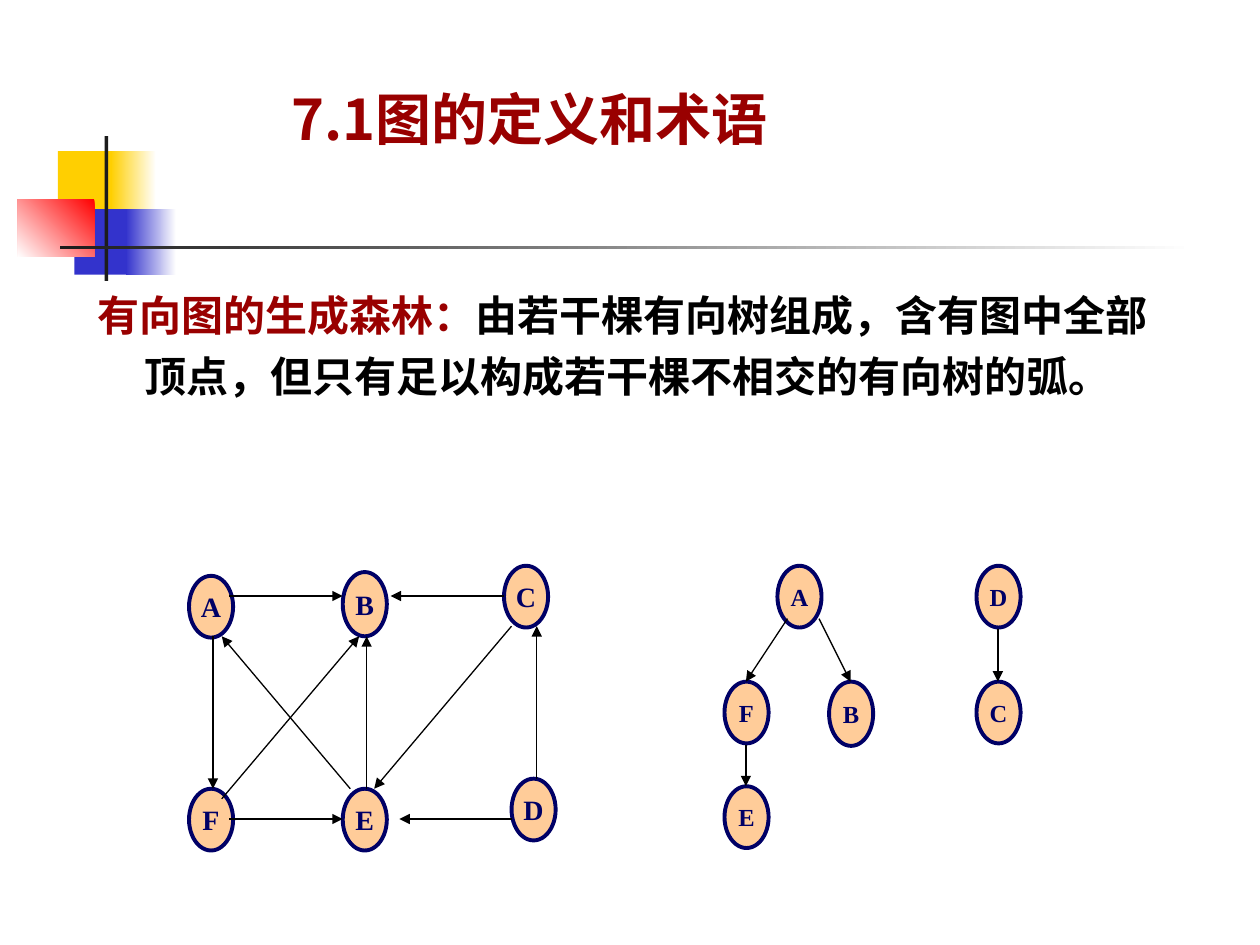
import pptx
import pptx.dml.color
import pptx.enum.dml
import pptx.enum.shapes
import pptx.enum.text
import pptx.oxml
import pptx.oxml.ns
import pptx.util
from pptx.util import Inches

TITLE = "7.1图的定义和术语"
DEFINITION = [
    ("有向图的生成森林：", "accent"),
    ("由若干棵有向树组成，含有图中全部顶点，但只有足以构成若干棵不相交的有向树的弧。", "text"),
]

# Vertices: label, left, top, height. Arcs: start point, arrow point.
DIRECTED_GRAPH = {
    "size": "graph",
    "vertices": [
        ("B", 2.72, 4.54, 0.51), ("A", 1.5, 4.57, 0.49), ("C", 4, 4.49, 0.49),
        ("D", 4.06, 6.18, 0.49), ("F", 1.5, 6.26, 0.49), ("E", 2.72, 6.26, 0.49),
    ],
    "arcs": [
        ((1.82, 4.73), (2.72, 4.73)),
        ((1.69, 5.05), (1.69, 6.26)),
        ((4, 4.73), (3.1, 4.73)),
        ((1.82, 6.5), (2.72, 6.5)),
        ((4.06, 6.5), (3.17, 6.5)),
        ((1.76, 6.34), (2.85, 5.05)),
        ((4.06, 4.97), (2.97, 6.26)),
        ((4.26, 6.18), (4.26, 4.97)),
        ((2.78, 6.26), (1.76, 5.05)),
        ((2.91, 6.26), (2.91, 5.05)),
    ],
}
SPANNING_FOREST = {
    "size": "forest",
    "vertices": [
        ("B", 6.58, 5.41, 0.51), ("A", 6.17, 4.49, 0.49), ("C", 7.75, 5.41, 0.49),
        ("D", 7.75, 4.49, 0.49), ("F", 5.75, 5.41, 0.49), ("E", 5.75, 6.24, 0.49),
    ],
    "arcs": [
        ((6.25, 4.91), (5.92, 5.41)),
        ((6.5, 4.91), (6.75, 5.41)),
        ((5.92, 5.91), (5.92, 6.24)),
        ((7.92, 4.99), (7.92, 5.41)),
    ],
}
VERTEX_WIDTH = 0.35

# Left, top, width, height, colours (two make a gradient), clockwise angle
ORNAMENT = [
    (0.46, 1.2, 0.48, 0.52, ["yellow"], 0),
    (0.88, 1.2, 0.36, 0.52, ["white", "yellow"], 180),
    (0.59, 1.66, 0.46, 0.52, ["blue"], 0),
    (1, 1.66, 0.4, 0.52, ["white", "blue"], 180),
    (0.14, 1.58, 0.61, 0.46, ["red", "white"], 135),
    (0.83, 1.08, 0.03, 1.15, ["dark"], 0),
    (0.48, 1.95, 9, 0.03, ["white", "dark"], 180),
]

THEME = {
    "colours": {
        "accent": "990000", "text": "000000", "white": "FFFFFF",
        "yellow": "FFCF01", "blue": "3333CC", "red": "FF0000", "dark": "1C1C1C",
        "vertex": "FFCC99", "outline": "000066",
    },
    "sizes": {"title": 32, "body": 24, "graph": 16, "forest": 14},
    "fonts": {"title": "Noto Sans CJK SC", "body": "Cabin", "vertex": "Times New Roman"},
}


def colour(name):
    return pptx.dml.color.RGBColor.from_string(THEME["colours"][name])


def format_run(run, font, size, ink):
    run.font.name = THEME["fonts"][font]
    run.font.size = pptx.util.Pt(THEME["sizes"][size])
    run.font.bold = True
    run.font.color.rgb = colour(ink)
    east_asian = pptx.oxml.parse_xml(
        f'<a:ea {pptx.oxml.ns.nsdecls("a")} typeface="{THEME["fonts"][font]}"/>')
    run.font._element.find(pptx.oxml.ns.qn("a:latin")).addnext(east_asian)


def place(placeholder, left, top, width, height):
    placeholder.left, placeholder.top = Inches(left), Inches(top)
    placeholder.width, placeholder.height = Inches(width), Inches(height)
    frame = placeholder.text_frame
    frame.auto_size = pptx.enum.text.MSO_AUTO_SIZE.NONE
    frame.vertical_anchor = pptx.enum.text.MSO_ANCHOR.TOP
    return frame


def add_title(slide):
    frame = place(slide.shapes.title, 2.21, 0.62, 4.09, 0.64)
    frame.word_wrap = False
    frame.text = TITLE
    heading = frame.paragraphs[0]
    heading.alignment = pptx.enum.text.PP_ALIGN.LEFT
    format_run(heading.runs[0], "title", "title", "accent")


def add_definition(slide):
    frame = place(slide.placeholders[1], 0.67, 2.17, 8.66, 1.42)
    paragraph = frame.paragraphs[0]
    properties = paragraph._p.get_or_add_pPr()
    properties.set("marL", str(Inches(0.38)))
    properties.set("indent", str(-Inches(0.38)))
    properties.append(pptx.oxml.parse_xml(f'<a:buNone {pptx.oxml.ns.nsdecls("a")}/>'))
    paragraph.line_spacing = 1.2
    paragraph.space_before = pptx.util.Pt(0)
    for wording, ink in DEFINITION:
        run = paragraph.add_run()
        run.text = wording
        format_run(run, "body", "body", ink)


def add_ornament(slide):
    for left, top, width, height, colours, angle in ORNAMENT:
        block = slide.shapes.add_shape(
            pptx.enum.shapes.MSO_SHAPE.RECTANGLE,
            Inches(left), Inches(top), Inches(width), Inches(height))
        block.shadow.inherit = False
        block.line.fill.background()
        if len(colours) == 1:
            block.fill.solid()
            block.fill.fore_color.rgb = colour(colours[0])
        else:
            block.fill.gradient()
            block.fill.gradient_angle = 360 - angle
            for stop, name, position in zip(block.fill.gradient_stops, colours, (0, 1)):
                stop.color.rgb = colour(name)
                stop.position = position


def add_vertex(shapes, label, left, top, height, size):
    vertex = shapes.add_shape(
        pptx.enum.shapes.MSO_SHAPE.OVAL,
        Inches(left), Inches(top), Inches(VERTEX_WIDTH), Inches(height))
    vertex.shadow.inherit = False
    vertex.fill.solid()
    vertex.fill.fore_color.rgb = colour("vertex")
    vertex.line.color.rgb = colour("outline")
    vertex.line.width = pptx.util.Pt(2.25)
    frame = vertex.text_frame
    frame.word_wrap = False
    frame.vertical_anchor = pptx.enum.text.MSO_ANCHOR.MIDDLE
    frame.text = label
    frame.paragraphs[0].alignment = pptx.enum.text.PP_ALIGN.CENTER
    format_run(frame.paragraphs[0].runs[0], "vertex", size, "outline")


def add_arc(shapes, start, end):
    arc = shapes.add_connector(
        pptx.enum.shapes.MSO_CONNECTOR.STRAIGHT, *map(Inches, start + end))
    arc.line.color.rgb = colour("text")
    arc.line.width = pptx.util.Pt(0.75)
    namespace = pptx.oxml.ns.nsdecls("a")
    arc.line._get_or_add_ln().append(
        pptx.oxml.parse_xml(f'<a:tailEnd {namespace} type="triangle"/>'))
    arc._element.spPr.append(pptx.oxml.parse_xml(f"<a:effectLst {namespace}/>"))


def add_graph(slide, graph):
    shapes = slide.shapes.add_group_shape().shapes
    for vertex in graph["vertices"]:
        add_vertex(shapes, *vertex, graph["size"])
    for start, end in graph["arcs"]:
        add_arc(shapes, start, end)


def main():
    deck = pptx.Presentation()
    deck.slide_width, deck.slide_height = Inches(10), Inches(7.5)
    slide = deck.slides.add_slide(deck.slide_layouts[1])
    add_ornament(slide)
    add_title(slide)
    add_definition(slide)
    for graph in (DIRECTED_GRAPH, SPANNING_FOREST):
        add_graph(slide, graph)
    deck.save("out.pptx")


if __name__ == "__main__":
    main()
